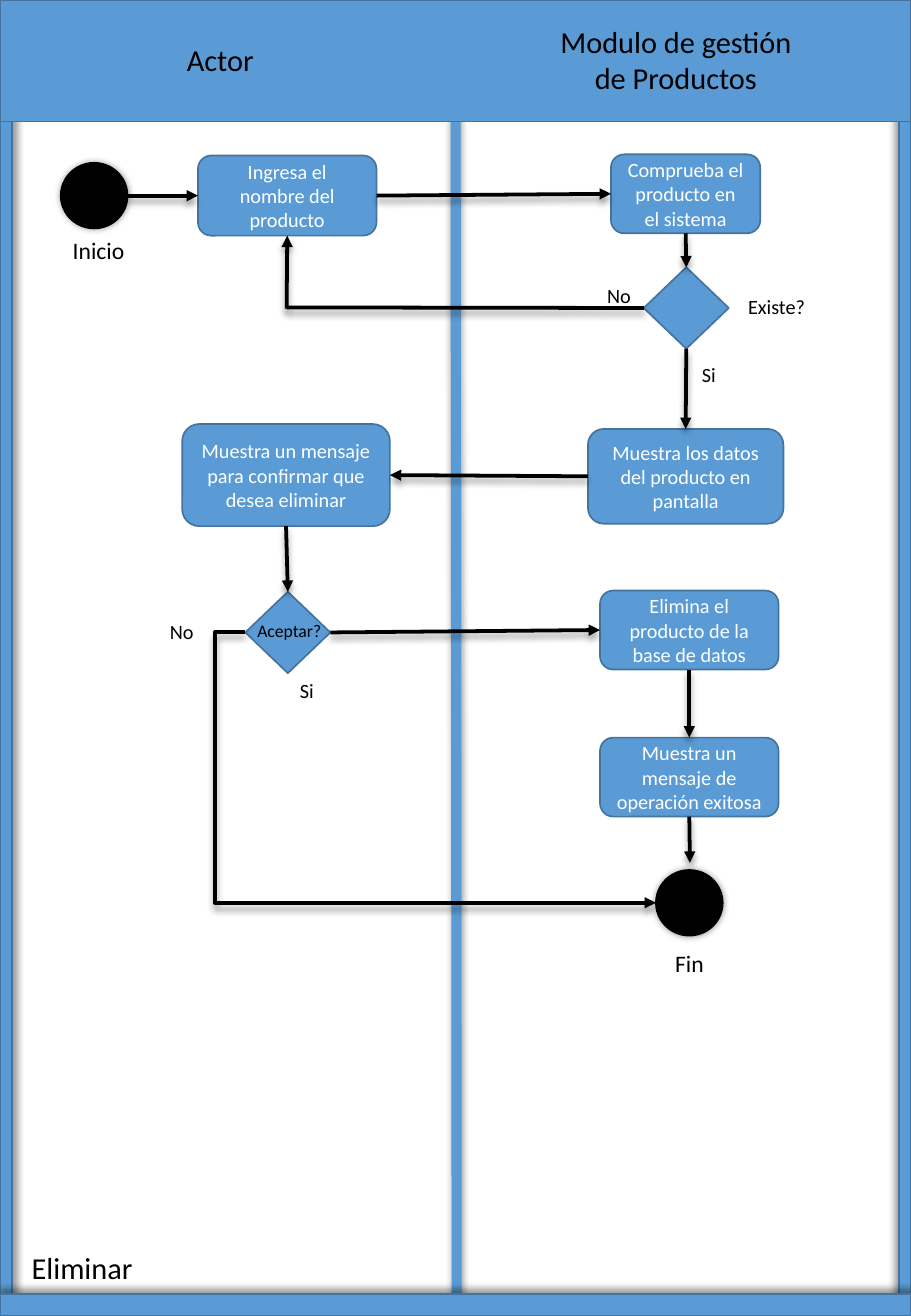
from dataclasses import dataclass

import pptx
import pptx.dml.color
import pptx.enum.dml
import pptx.enum.shapes
import pptx.enum.text
import pptx.oxml.ns
import pptx.util
from lxml import etree

Inches = pptx.util.Inches
Pt = pptx.util.Pt
RGB = pptx.dml.color.RGBColor.from_string
qn = pptx.oxml.ns.qn
Shape = pptx.enum.shapes.MSO_SHAPE
Connector = pptx.enum.shapes.MSO_CONNECTOR
Anchor = pptx.enum.text.MSO_ANCHOR
Align = pptx.enum.text.PP_ALIGN
TOP, LEFT, BOTTOM, RIGHT = range(4)  # connection sites
WIDTH, HEIGHT = 7.5, 10.83


@dataclass(frozen=True)
class Theme:
    font: str = "Calibri"
    blue: str = "5B9BD5"
    outline: str = "43739E"
    ink: str = "000000"
    paper: str = "FFFFFF"
    heading: float = 18
    endpoint: float = 14
    body: float = 12
    small: float = 10.5
    border: float = 1
    flow: float = 2.25
    divider: float = 6


class ActivityDiagram:
    def __init__(self, slide, theme):
        self.slide = slide
        self.theme = theme

    def shadow(self, element, direction, distance=3):
        """Give a shape or connector a soft shadow; direction is in degrees."""
        properties = element.element.spPr
        effects = properties.find(qn("a:effectLst"))
        if effects is None:
            effects = etree.SubElement(properties, qn("a:effectLst"))
        outer = etree.SubElement(
            effects, qn("a:outerShdw"), blurRad=str(Pt(4)),
            dist=str(Pt(distance)), dir=str(direction * 60000),
            algn="ctr", rotWithShape="0")
        color = etree.SubElement(outer, qn("a:srgbClr"), val=self.theme.ink)
        etree.SubElement(color, qn("a:alpha"), val="40000")

    def set_text(self, frame, lines, size, color, align):
        frame.text = "\n".join(lines)
        for paragraph in frame.paragraphs:
            paragraph.alignment = align
            paragraph.font.name = self.theme.font
            paragraph.font.size = Pt(size)
            paragraph.font.color.rgb = RGB(color)

    def block(self, kind, box, fill=None, outline=None):
        shape = self.slide.shapes.add_shape(kind, *map(Inches, box))
        shape.shadow.inherit = False
        shape.fill.solid()
        shape.fill.fore_color.rgb = RGB(fill or self.theme.blue)
        shape.line.color.rgb = RGB(outline or self.theme.outline)
        shape.line.width = Pt(self.theme.border)
        return shape

    def frame_bar(self, box, direction=None):
        bar = self.block(Shape.RECTANGLE, box)
        if direction is not None:
            self.shadow(bar, direction)

    def activity(self, text, box):
        shape = self.block(Shape.ROUNDED_RECTANGLE, box)
        shape.text_frame.vertical_anchor = Anchor.MIDDLE
        self.set_text(shape.text_frame, [text], self.theme.body,
                      self.theme.paper, Align.CENTER)
        return shape

    def decision(self, left, top):
        return self.block(Shape.FLOWCHART_DECISION, (left, top, 0.7, 0.67))

    def terminal(self, left, top):
        ink = self.theme.ink
        circle = self.block(Shape.OVAL, (left, top, 0.55, 0.54), ink, ink)
        self.shadow(circle, 0, distance=0)

    def fit_text(self, frame, lines, size, align):
        frame.word_wrap = False
        frame.auto_size = pptx.enum.text.MSO_AUTO_SIZE.SHAPE_TO_FIT_TEXT
        frame.vertical_anchor = Anchor.TOP
        self.set_text(frame, lines, size, self.theme.ink, align)

    def label(self, lines, box, size, align=Align.LEFT):
        textbox = self.slide.shapes.add_textbox(*map(Inches, box))
        self.fit_text(textbox.text_frame, lines, size, align)

    def title(self, text, box):
        title = self.slide.shapes.title
        title.left, title.top, title.width, title.height = map(Inches, box)
        self.fit_text(title.text_frame, [text], self.theme.heading, Align.LEFT)

    def line(self, kind, start, end, color, width, direction):
        connector = self.slide.shapes.add_connector(
            kind, *map(Inches, (*start, *end)))
        connector.line.color.rgb = RGB(color)
        connector.line.width = Pt(width)
        self.shadow(connector, direction)
        return connector

    def flow(self, start, end, arrow=True, kind=Connector.STRAIGHT):
        """Link two ends, each an (x, y) point or a (shape, site) pair."""
        points = [(0, 0) if hasattr(e[0], "shape_id") else e
                  for e in (start, end)]
        connector = self.line(kind, *points, self.theme.ink,
                              self.theme.flow, 90)
        if hasattr(start[0], "shape_id"):
            connector.begin_connect(*start)
        if hasattr(end[0], "shape_id"):
            connector.end_connect(*end)
        if arrow:
            outline = connector.element.spPr.find(qn("a:ln"))
            etree.SubElement(outline, qn("a:tailEnd"), type="triangle")
        return connector

    def detour(self, start, end, bend):
        """Route an elbow arrow; bend is a share of its width."""
        connector = self.flow(start, end, kind=Connector.ELBOW)
        geometry = connector.element.spPr.find(qn("a:prstGeom"))
        guides = geometry.find(qn("a:avLst"))
        if guides is None:
            guides = etree.SubElement(geometry, qn("a:avLst"))
        etree.SubElement(guides, qn("a:gd"), name="adj1",
                         fmla=f"val {round(bend * 100000)}")


def draw_lanes(diagram):
    theme = diagram.theme
    diagram.line(Connector.STRAIGHT, (3.75, 0), (3.76, HEIGHT),
                 theme.blue, theme.divider, 270)
    diagram.frame_bar((0, 0, 0.1, HEIGHT), 45)
    diagram.frame_bar((WIDTH - 0.1, 0, 0.1, HEIGHT), 225)
    diagram.frame_bar((0, HEIGHT - 0.18, WIDTH, 0.18), 270)
    diagram.frame_bar((0, 0, WIDTH, 1))
    diagram.label(["Actor"], (1.44, 0.29, 0.76, 0.4), theme.heading)
    diagram.label(["Modulo de gestión", "de Productos"],
                  (4.5, 0.14, 2.13, 0.71), theme.heading, Align.CENTER)
    diagram.title("Eliminar", (0.16, 10.23, 1.04, 0.4))


def draw_process(diagram):
    theme = diagram.theme
    diagram.terminal(0.5, 1.34)
    diagram.terminal(5.4, 7.16)
    enter = diagram.activity("Ingresa el nombre del producto",
                             (1.63, 1.28, 1.47, 0.66))
    check = diagram.activity("Comprueba el producto en el sistema",
                             (5.03, 1.27, 1.23, 0.65))
    show = diagram.activity("Muestra los datos del producto en pantalla",
                            (4.84, 3.53, 1.61, 0.78))
    confirm = diagram.activity(
        "Muestra un mensaje para confirmar que desea eliminar",
        (1.5, 3.49, 1.71, 0.84))
    delete = diagram.activity("Elimina el producto de la base de datos",
                              (4.94, 4.86, 1.47, 0.65))
    success = diagram.activity("Muestra un mensaje de operación exitosa",
                               (4.94, 6.07, 1.47, 0.65))
    exists = diagram.decision(5.3, 2.2)
    accept = diagram.decision(2.02, 4.87)

    for start, end in [
        ((1.05, 1.61), (enter, LEFT)),
        ((enter, RIGHT), (check, LEFT)),
        ((check, BOTTOM), (exists, TOP)),
        ((exists, BOTTOM), (show, TOP)),
        ((show, LEFT), (confirm, RIGHT)),
        ((confirm, BOTTOM), (accept, TOP)),
        ((accept, RIGHT), (delete, LEFT)),
        ((delete, BOTTOM), (success, TOP)),
        ((success, BOTTOM), (5.68, 7.1)),
        ((2.36, 2.54), (enter, BOTTOM)),
    ]:
        diagram.flow(start, end)
    diagram.flow((exists, LEFT), (2.36, 2.53), arrow=False)
    diagram.detour((2.02, 5.2), (5.4, 7.43), bend=-0.074)

    for text, box, size in [
        ("Inicio", (0.5, 1.89, 0.63, 0.34), theme.endpoint),
        ("Fin", (5.46, 7.76, 0.44, 0.34), theme.endpoint),
        ("Existe?", (6.06, 2.37, 0.68, 0.3), theme.body),
        ("No", (4.9, 2.28, 0.4, 0.3), theme.body),
        ("Si", (5.68, 2.93, 0.32, 0.3), theme.body),
        ("Aceptar?", (2.02, 5.05, 0.76, 0.29), theme.small),
        ("No", (1.3, 5.05, 0.4, 0.3), theme.body),
        ("Si", (2.37, 5.53, 0.32, 0.3), theme.body),
    ]:
        diagram.label([text], box, size)


def main():
    presentation = pptx.Presentation()
    presentation.slide_width = Inches(WIDTH)
    presentation.slide_height = Inches(HEIGHT)
    slide = presentation.slides.add_slide(presentation.slide_layouts[5])
    diagram = ActivityDiagram(slide, Theme())
    draw_lanes(diagram)
    draw_process(diagram)
    presentation.save("out.pptx")


if __name__ == "__main__":
    main()
